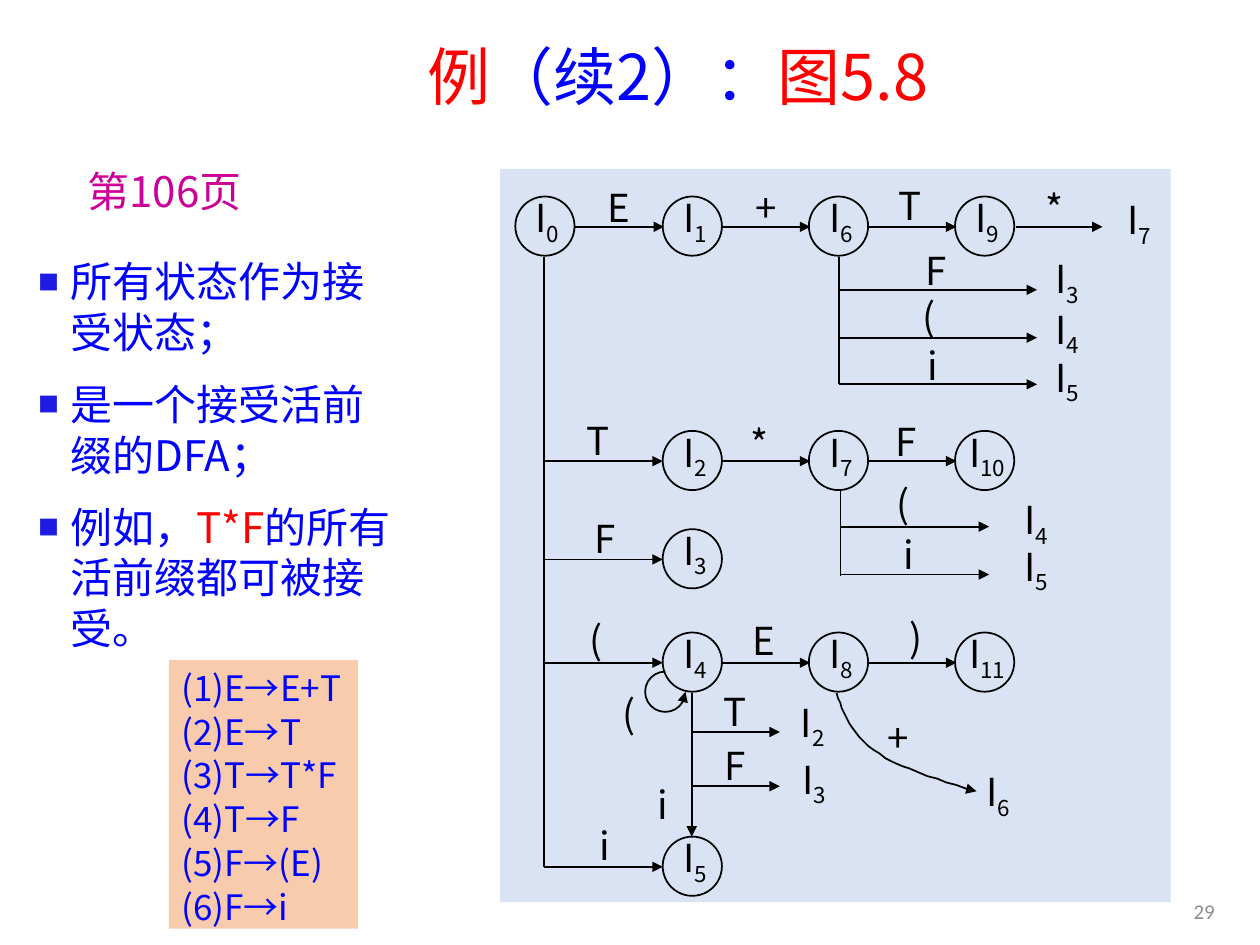
import lxml.etree
import pptx
import pptx.dml.color
import pptx.enum.shapes
import pptx.enum.text
import pptx.oxml.ns
import pptx.util

PX = 9144  # EMU per px, 100 px to the inch
FONT = "Noto Sans CJK SC"
BLACK, BLUE, RED = "000000", "0000FF", "FF0000"
ALIGN = pptx.enum.text.PP_ALIGN
ANCHOR = pptx.enum.text.MSO_ANCHOR
SHAPE = pptx.enum.shapes.MSO_SHAPE

# States: node size, column lefts, row tops, and which state sits where
NODE = 47
COLUMNS = [409, 526, 642, 758]
ROWS = [156, 342, 420, 502, 664]
STATES = [["0", "1", "6", "9"], [None, "2", "7", "10"], [None, "3"],
          [None, "4", "8", "11"], [None, "5"]]

# Stems that carry several branches: x, top, bottom, arrow
STEMS = [(432, 204, 688, False), (666, 204, 305, False),
         (667, 390, 457, False), (549, 550, 664, True)]
# Branches off each stem: start x, end x, heights
BRANCHES = [(432, 526, [366, 444, 526, 688]), (666, 823, [230, 268, 305]),
            (667, 785, [418, 456]), (549, 619, [581, 624])]

# Symbols on the edges: text, left, top
SYMBOLS = [
    ("E", 467, 144), ("+", 584, 144), ("T", 698, 143), ("*", 813, 145),
    ("F", 719, 194), ("(", 713, 231), ("i", 716, 270),
    ("T", 451, 329), ("*", 579, 332), ("F", 695, 330),
    ("(", 693, 379), ("i", 697, 420), ("F", 456, 407),
    ("(", 449, 487), ("E", 582, 488), (")", 703, 486),
    ("T", 559, 544), ("F", 559, 587), ("i", 502, 618), ("i", 456, 651),
    ("(", 475, 546), ("+", 689, 565),
]
# Target states at the ends of branches: index, left, top
TARGETS = [("7", 879, 156), ("3", 822, 203), ("4", 822, 243), ("5", 822, 281),
           ("4", 790, 394), ("5", 790, 431), ("2", 620, 555), ("3", 621, 600),
           ("6", 767, 610)]


def px(*lengths):
    return [pptx.util.Emu(round(length * PX)) for length in lengths]


def color(hex_string):
    return pptx.dml.color.RGBColor.from_string(hex_string)


def add_child(parent, tag, **attributes):
    return lxml.etree.SubElement(parent, pptx.oxml.ns.qn(tag), attributes)


def write(frame, paragraphs, size=22, font=FONT, fill=BLACK, align=ALIGN.LEFT,
          anchor=ANCHOR.TOP, inset=None, line=None, before=0, after=0,
          hanging=False, bullet=None):
    """Fill a frame; each paragraph is a list of (text, {fill, sub}) spans."""
    frame.word_wrap = True
    frame.vertical_anchor = anchor
    if inset is not None:
        frame.margin_left = frame.margin_right = inset
        frame.margin_top = frame.margin_bottom = inset
    for index, spans in enumerate(paragraphs):
        para = frame.add_paragraph() if index else frame.paragraphs[0]
        para.alignment = align
        para.space_before = pptx.util.Pt(before if index else 0)
        para.space_after = pptx.util.Pt(after)
        if line:
            para.line_spacing = line
        properties = para._p.get_or_add_pPr()
        if hanging:
            properties.set("marL", str(25 * PX))
            properties.set("indent", str(-25 * PX))
        if bullet:
            add_child(add_child(properties, "a:buClr"), "a:srgbClr", val=bullet)
            add_child(properties, "a:buSzPct", val="50000")
            add_child(properties, "a:buFont", typeface=FONT)
            add_child(properties, "a:buChar", char="■")
        for text, style in spans:
            span = para.add_run()
            span.text = text
            span.font.size = pptx.util.Pt(size)
            span.font.name = font
            span.font.color.rgb = color(style.get("fill", fill))
            run_properties = span.font._element
            add_child(run_properties, "a:ea", typeface=font)
            if style.get("sub"):
                run_properties.set("baseline", "-25000")


def plain(*lines):
    return [[(text, {})] for text in lines]


def add_text(slide, area, paragraphs, **style):
    box = slide.shapes.add_textbox(*px(*area))
    write(box.text_frame, paragraphs, **style)


def add_label(slide, area, text, index=""):
    spans = [(text, {})] + ([(index, {"sub": True})] if index else [])
    add_text(slide, area, [spans], align=ALIGN.CENTER, anchor=ANCHOR.MIDDLE,
             inset=0)


def draw_line(shape, arrow=False):
    shape.line.color.rgb = color(BLACK)
    shape.line.width = pptx.util.Pt(1)
    if arrow:
        add_child(shape.line._get_or_add_ln(), "a:tailEnd", type="triangle")


def add_shape(slide, kind, area, fill=None):
    shape = slide.shapes.add_shape(kind, *px(*area))
    shape.shadow.inherit = False
    if fill:
        shape.fill.solid()
        shape.fill.fore_color.rgb = color(fill)
        shape.line.fill.background()
    else:
        shape.fill.background()
    return shape


def add_edge(slide, start, end, arrow=True):
    edge = slide.shapes.add_connector(
        pptx.enum.shapes.MSO_CONNECTOR.STRAIGHT, *px(*start, *end))
    draw_line(edge, arrow)
    add_child(edge._element.spPr, "a:effectLst")


def add_state(slide, left, top, index):
    draw_line(add_shape(slide, SHAPE.OVAL, (left, top, NODE, NODE)))
    add_label(slide, (left - 7, top - 6, 65, 50), "I", index)


def add_curve(slide, *curves, steps=12):
    """Draw joined cubic curves, each given by four points, as one outline."""
    points = [curves[0][0]]
    for a, b, c, d in curves:
        for step in range(1, steps + 1):
            t = step / steps
            weights = ((1 - t) ** 3, 3 * t * (1 - t) ** 2,
                       3 * t * t * (1 - t), t ** 3)
            points.append(tuple(
                sum(w * p[axis] for w, p in zip(weights, (a, b, c, d)))
                for axis in (0, 1)))
    builder = slide.shapes.build_freeform(*points[0], scale=PX)
    builder.add_line_segments(points[1:], close=False)
    curve = builder.convert_to_shape()
    curve.shadow.inherit = False
    curve.fill.background()
    draw_line(curve, arrow=True)


def add_loop(slide, area):
    loop = add_shape(slide, SHAPE.ARC, area)
    loop.adjustments[0] = 270 * 0.6
    loop.adjustments[1] = 180 * 0.6
    loop._element.spPr.xfrm.set("flipH", "1")
    draw_line(loop, arrow=True)


def add_automaton(slide):
    # Nodes and the edges between neighbours
    for top, states in zip(ROWS, STATES):
        middle = top + 24
        for left, index in zip(COLUMNS, states):
            if index:
                add_state(slide, left, top, index)
        for left, right, index in zip(COLUMNS, COLUMNS[1:], states):
            if index and len(states) == len(COLUMNS):
                add_edge(slide, (left + NODE, middle), (right + 1, middle))
    add_edge(slide, (806, 180), (875, 180))
    # Stems, branches and curved edges
    for x, top, bottom, arrow in STEMS:
        add_edge(slide, (x, top), (x, bottom), arrow)
    for start, end, heights in BRANCHES:
        for y in heights:
            add_edge(slide, (start, y), (end, y))
    add_curve(slide, ((664, 550), (669, 566), (675, 582), (693, 595)),
              ((693, 595), (712, 609), (743, 618), (775, 628)))
    add_loop(slide, (512, 533, 32, 32))
    # Labels
    for text, left, top in SYMBOLS:
        add_label(slide, (left, top, 48, 40), text)
    for index, left, top in TARGETS:
        width = 65 if left == 790 else 50
        add_label(slide, (left, top, width, 41), "I", index)


def main():
    deck = pptx.Presentation()
    deck.slide_width, deck.slide_height = px(1000, 750)
    slide = deck.slides.add_slide(deck.slide_layouts[5])

    # Title
    title = slide.shapes.title
    title.left, title.top, title.width, title.height = px(237, 23, 602, 81)
    write(title.text_frame,
          [[("例", {}), ("（续2）：", {"fill": BLUE}), ("图5.8", {})]],
          size=36, font="Noto Sans CJK JP", fill=RED, align=ALIGN.CENTER,
          anchor=ANCHOR.MIDDLE, line=0.9)

    # Diagram
    add_shape(slide, SHAPE.RECTANGLE, (397, 134, 532, 582), "DAE3F3")
    add_automaton(slide)

    # Notes on the left
    add_text(slide, (58, 131, 145, 41), plain("第106页"), size=24,
             fill="CC0099", align=ALIGN.CENTER, anchor=ANCHOR.MIDDLE,
             line=pptx.util.Pt(29))
    example = [("例如，", {}), ("T*F", {"fill": RED}),
               ("的所有活前缀都可被接受。", {})]
    add_text(slide, (21, 198, 310, 326),
             plain("所有状态作为接受状态；", "是一个接受活前缀的DFA；") + [example],
             size=24, fill=BLUE, line=pptx.util.Pt(29), before=6, after=6,
             hanging=True, bullet="1E1CE3")

    # Grammar
    grammar = add_shape(slide, SHAPE.RECTANGLE, (134, 524, 150, 213), "F8CBAD")
    write(grammar.text_frame,
          plain("(1)E→E+T", "(2)E→T", "(3)T→T*F", "(4)T→F", "(5)F→(E)", "(6)F→i"),
          size=20, fill=BLUE, line=pptx.util.Pt(24), after=1, hanging=True)

    # Slide number
    add_text(slide, (915, 703, 59, 40), plain("29"), size=12, font="Calibri",
             fill="8C8C8C", align=ALIGN.RIGHT, anchor=ANCHOR.MIDDLE)

    deck.save("out.pptx")


if __name__ == "__main__":
    main()
